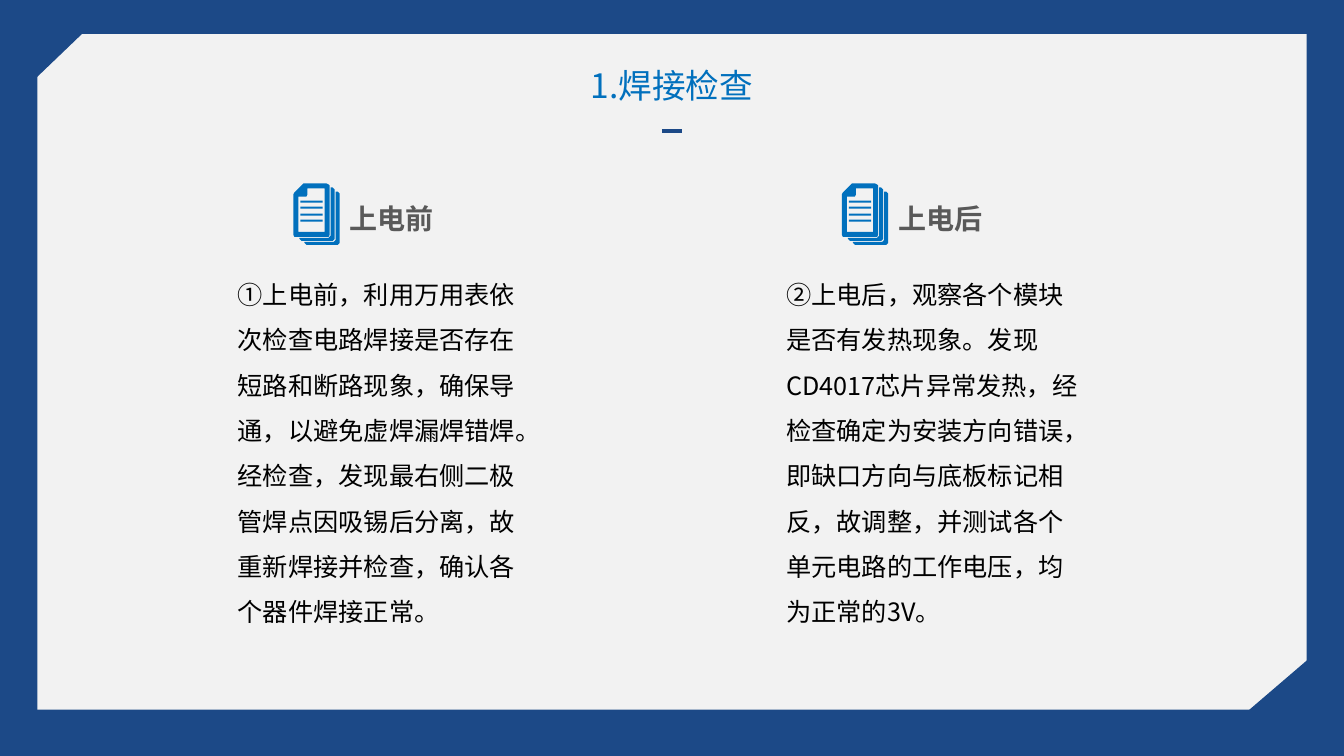
from pptx import Presentation
from pptx.dml.color import RGBColor
from pptx.enum.shapes import MSO_CONNECTOR, MSO_SHAPE
from pptx.enum.text import MSO_AUTO_SIZE, PP_ALIGN
from pptx.oxml.ns import qn
from pptx.util import Inches, Pt
from lxml.etree import SubElement

COLORS = {
    "frame": "1C4987",
    "panel": "F2F2F2",
    "accent": "0170BD",
    "heading": "595959",
    "body": "000000",
}
FONT = "Noto Sans CJK SC"
TEXT_STYLES = {
    "title": {
        "color": "accent",
        "font": {"size": Pt(24)},
        "paragraph": {"alignment": PP_ALIGN.CENTER},
    },
    "heading": {
        "color": "heading",
        "font": {"size": Pt(20), "bold": True},
        "paragraph": {"line_spacing": 1.2},
    },
    "body": {
        "color": "body",
        "font": {"size": Pt(18)},
        "paragraph": {"line_spacing": 1.5},
    },
}
CHECKS = [
    (2.26, "上电前",
     "①上电前，利用万用表依次检查电路焊接是否存在短路和断路现象，确保导通，"
     "以避免虚焊漏焊错焊。经检查，发现最右侧二极管焊点因吸锡后分离，"
     "故重新焊接并检查，确认各个器件焊接正常。"),
    (7.7, "上电后",
     "②上电后，观察各个模块是否有发热现象。发现CD4017芯片异常发热，"
     "经检查确定为安装方向错误，即缺口方向与底板标记相反，故调整，"
     "并测试各个单元电路的工作电压，均为正常的3V。"),
]

# Document icon outlines, in hundredths of an inch
PAGE = [(10, 0), (33, 0), (35, 1), (36, 2), (36, 51), (35, 53), (33, 53),
        (3, 53), (1, 53), (0, 51), (0, 11), (1, 9), (9, 1)]
WINDOW = [(14, 5), (14, 11), (13, 13), (11, 13), (5, 13), (5, 48), (31, 48), (31, 5)]
BACK_SHEET = [(37, 4), (39, 4), (41, 6), (41, 55), (39, 57), (8, 57), (6, 55),
              (6, 54), (35, 54), (37, 52)]
SECOND_SHEET = [(x + 5, y + 4) for x, y in BACK_SHEET]
TEXT_LINES = [[(7, y), (29, y), (29, y + 2), (7, y + 2)] for y in (17, 23, 30, 36)]
ICON_OUTLINES = [PAGE, WINDOW, BACK_SHEET, SECOND_SHEET, *TEXT_LINES]


def color(name):
    return RGBColor.from_string(COLORS[name])


def paint(shape, fill):
    shape.shadow.inherit = False
    shape.fill.solid()
    shape.fill.fore_color.rgb = color(fill)
    shape.line.fill.background()


def add_block(slide, box, fill, rotation=0):
    block = slide.shapes.add_shape(MSO_SHAPE.RECTANGLE, *map(Inches, box))
    paint(block, fill)
    block.rotation = rotation
    return block


def add_text(slide, box, text, style_name):
    style = TEXT_STYLES[style_name]
    frame = slide.shapes.add_textbox(*map(Inches, box)).text_frame
    frame.word_wrap = True
    frame.auto_size = MSO_AUTO_SIZE.SHAPE_TO_FIT_TEXT
    paragraph = frame.paragraphs[0]
    run = paragraph.add_run()
    run.text = text
    for target, part in ((paragraph, "paragraph"), (run.font, "font")):
        for attribute, value in style[part].items():
            setattr(target, attribute, value)
    run.font.color.rgb = color(style["color"])
    run.font.name = FONT
    SubElement(run.font._element, qn("a:ea"), typeface=FONT)


def add_icon(slide, left, top):
    first, *others = ICON_OUTLINES
    builder = slide.shapes.build_freeform(*first[0], scale=Inches(0.01))
    builder.add_line_segments(first[1:], close=True)
    for outline in others:
        builder.move_to(*outline[0])
        builder.add_line_segments(outline[1:], close=True)
    paint(builder.convert_to_shape(Inches(left), Inches(top)), "accent")


def add_frame(slide):
    # Light panel with two corners cut off by turned blocks
    slide.background.fill.solid()
    slide.background.fill.fore_color.rgb = color("frame")
    add_block(slide, (0.37, 0.34, 12.59, 6.7), "panel")
    corners = [((-0.12, -0.41, 0.8, 1.39), 46.2), ((12.52, 6.33, 0.85, 1.61), 49.4)]
    for box, rotation in corners:
        corner = add_block(slide, box, "frame", rotation)
        corner.line.color.rgb = color("frame")
        corner.line.width = Pt(1)


def add_title(slide, left, top, width):
    add_text(slide, (left, top, width, 0.5), "1.焊接检查", "title")
    middle, dash_y = left + width / 2, top + 0.71
    dash = slide.shapes.add_connector(
        MSO_CONNECTOR.STRAIGHT,
        *map(Inches, (middle - 0.1, dash_y, middle + 0.1, dash_y)))
    dash.line.color.rgb = color("frame")
    dash.line.width = Pt(3)
    SubElement(dash._element.spPr, qn("a:effectLst"))


def add_check(slide, left, top, heading, body):
    # Icon and heading above the explanation
    add_icon(slide, left + 0.65, top)
    add_text(slide, (left + 1.11, top + 0.06, 2, 0.5), heading, "heading")
    add_text(slide, (left, top + 0.75, 3.12, 3.73), body, "body")


def main():
    presentation = Presentation()
    presentation.slide_width = Inches(13.33)
    presentation.slide_height = Inches(7.5)
    slide = presentation.slides.add_slide(presentation.slide_layouts[6])
    add_frame(slide)
    add_title(slide, 4.41, 0.59, 4.51)
    for left, heading, body in CHECKS:
        add_check(slide, left, 1.82, heading, body)
    presentation.save("out.pptx")


if __name__ == "__main__":
    main()
